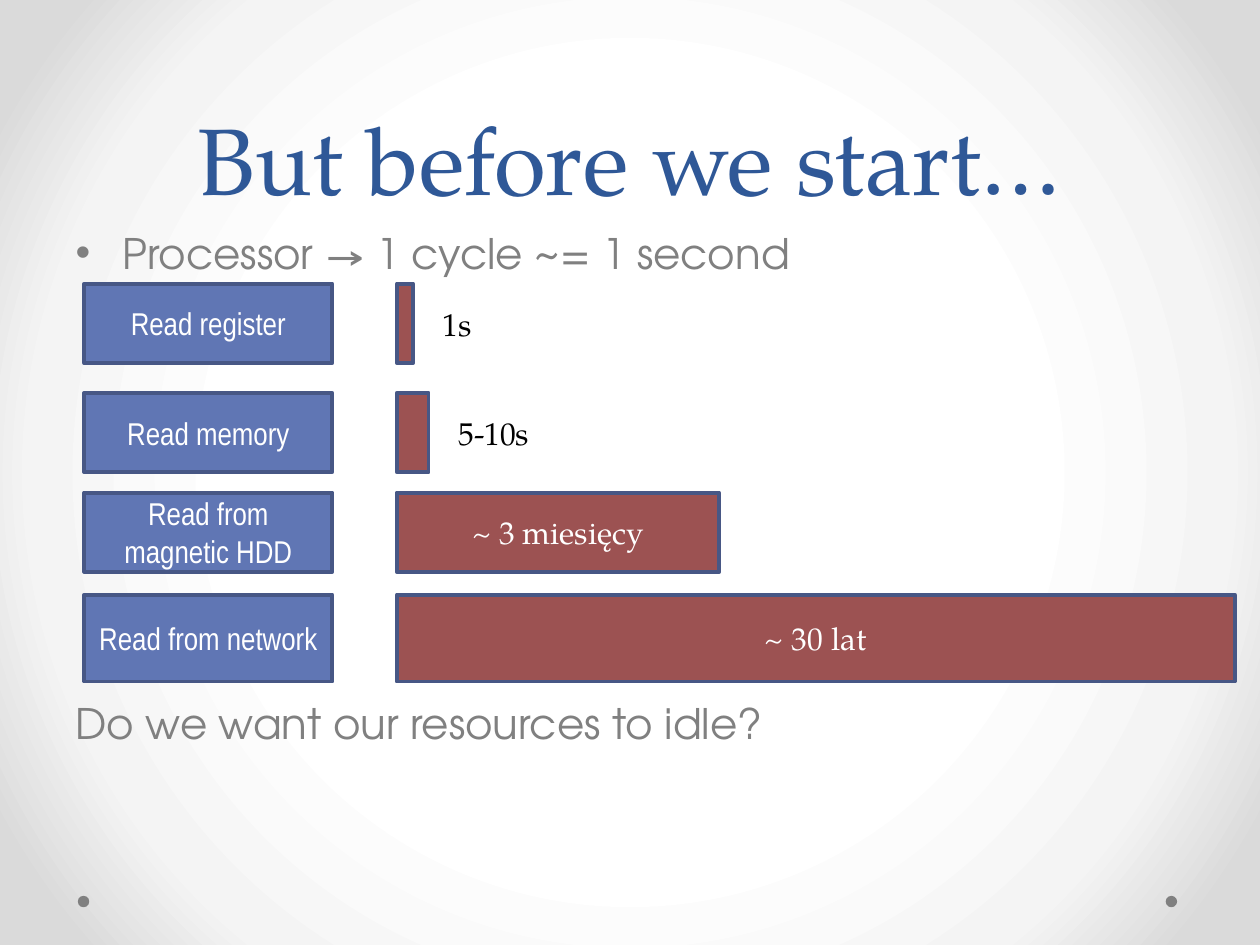
"""Build a slide that scales latencies to one second per processor cycle."""
from lxml import etree
from pptx import Presentation
from pptx.dml.color import RGBColor
from pptx.enum.shapes import MSO_SHAPE
from pptx.enum.text import MSO_ANCHOR, MSO_AUTO_SIZE, PP_ALIGN
from pptx.oxml.ns import qn
from pptx.util import Cm, Pt

RECT, OVAL = MSO_SHAPE.RECTANGLE, MSO_SHAPE.OVAL
LEFT, MID = PP_ALIGN.LEFT, PP_ALIGN.CENTER
TOP, CENTER, BOTTOM = MSO_ANCHOR.TOP, MSO_ANCHOR.MIDDLE, MSO_ANCHOR.BOTTOM
FIXED, GROW = MSO_AUTO_SIZE.NONE, MSO_AUTO_SIZE.SHAPE_TO_FIT_TEXT

NAVY = RGBColor(0x2F, 0x58, 0x97)
BLUE = RGBColor(0x60, 0x76, 0xB4)
EDGE = RGBColor(0x47, 0x57, 0x85)
RED = RGBColor(0x9C, 0x52, 0x52)
GRAY = RGBColor(0x80, 0x80, 0x80)
WHITE = RGBColor(0xFF, 0xFF, 0xFF)
BLACK = RGBColor(0, 0, 0)

SERIF, SANS, NARROW = "TeX Gyre Pagella", "TeX Gyre Adventor", "Arial Narrow"

TITLE = "But before we start…"
POINT = "Processor → 1 cycle ~= 1 second"
ASK = "Do we want our resources to idle?"
ROWS = [
    ("Read register", "1s", 5.72, 1.6, 0.33, 1.2),
    ("Read memory", "5-10s", 7.92, 1.6, 0.64, 2.2),
    ("Read from magnetic HDD", "~ 3 miesięcy", 9.93, 1.6, 6.5, None),
    ("Read from network", "~ 30 lat", 11.99, 1.75, 16.89, None),
]
STOPS = [(50, "FFFFFF"), (76, "F4F4F4"), (92, "DADADA")]
DOTS = [1.57, 23.5]
LABEL_X, LABEL_W, BAR_X, GAP = 1.7, 5, 8, 0.35


def paint(slide):
    slide.background.fill.gradient()
    grad = slide.element.find(".//" + qn("a:gradFill"))
    for part in list(grad):
        grad.remove(part)
    stops = etree.SubElement(grad, qn("a:gsLst"))
    for pos, tone in STOPS:
        stop = etree.SubElement(stops, qn("a:gs"), pos=str(pos * 1000))
        etree.SubElement(stop, qn("a:srgbClr"), val=tone)
    way = etree.SubElement(grad, qn("a:path"), path="circle")
    etree.SubElement(way, qn("a:fillToRect"), l="50000", t="50000", r="50000", b="50000")


def write(para, text, font, size, color, align=LEFT):
    para.alignment = align
    run = para.add_run()
    run.text = text
    run.font.name = font
    run.font.size = Pt(size)
    run.font.color.rgb = color


def place(shape, x, y, w, h):
    shape.left, shape.top, shape.width, shape.height = Cm(x), Cm(y), Cm(w), Cm(h)


def frame(shape, anchor):
    text = shape.text_frame
    text.word_wrap = True
    text.auto_size = FIXED
    text.vertical_anchor = anchor
    return text


def indent(para, cm, mark):
    props = para._p.get_or_add_pPr()
    props.set("marL", str(Cm(cm)))
    props.set("indent", str(-Cm(cm)))
    if mark:
        etree.SubElement(props, qn("a:buFont"), typeface="Arial")
        etree.SubElement(props, qn("a:buChar"), char=mark)
    else:
        etree.SubElement(props, qn("a:buNone"))


def draw(slide, kind, x, y, w, h, fill, edge=None):
    shape = slide.shapes.add_shape(kind, Cm(x), Cm(y), Cm(w), Cm(h))
    shape.shadow.inherit = False
    shape.fill.solid()
    shape.fill.fore_color.rgb = fill
    if edge is None:
        shape.line.fill.background()
    else:
        shape.line.color.rgb = edge
        shape.line.width = Pt(2.25)
    return shape


def head(slide):
    title = slide.shapes.title
    place(title, 1.27, 0, 22.86, 4.45)
    para = frame(title, BOTTOM).paragraphs[0]
    para.line_spacing = Pt(58)
    write(para, TITLE, SERIF, 54, NAVY, MID)


def body(slide):
    box = slide.placeholders[1]
    place(box, 1.27, 4.45, 22.86, 12.57)
    text = frame(box, TOP)
    first, last = text.paragraphs[0], text.add_paragraph()
    for para, line, space, inset, mark in (
        (first, POINT, 4.8, 0.95, "•"),
        (last, ASK, 240, 0, None),
    ):
        para.space_before = Pt(space)
        indent(para, inset, mark)
        write(para, line, SANS, 24, GRAY)


def row(slide, label, time, y, h, w, note):
    name = draw(slide, RECT, LABEL_X, y, LABEL_W, h, BLUE, EDGE)
    write(frame(name, CENTER).paragraphs[0], label, NARROW, 18, WHITE, MID)
    bar = draw(slide, RECT, BAR_X, y, w, h, RED, EDGE)
    if note is None:
        write(frame(bar, CENTER).paragraphs[0], time, SERIF, 18, WHITE, MID)
        return
    box = slide.shapes.add_textbox(Cm(BAR_X + w + GAP), Cm(y + 0.3), Cm(note), Cm(1.02))
    box.text_frame.word_wrap = False
    box.text_frame.auto_size = GROW
    write(box.text_frame.paragraphs[0], time, SERIF, 18, BLACK)


def main():
    deck = Presentation()
    deck.slide_width, deck.slide_height = Cm(25.4), Cm(19.05)
    slide = deck.slides.add_slide(deck.slide_layouts[1])
    paint(slide)
    for x in DOTS:
        draw(slide, OVAL, x, 18.06, 0.23, 0.23, GRAY)
    head(slide)
    body(slide)
    for item in ROWS:
        row(slide, *item)
    deck.save("out.pptx")


if __name__ == "__main__":
    main()
